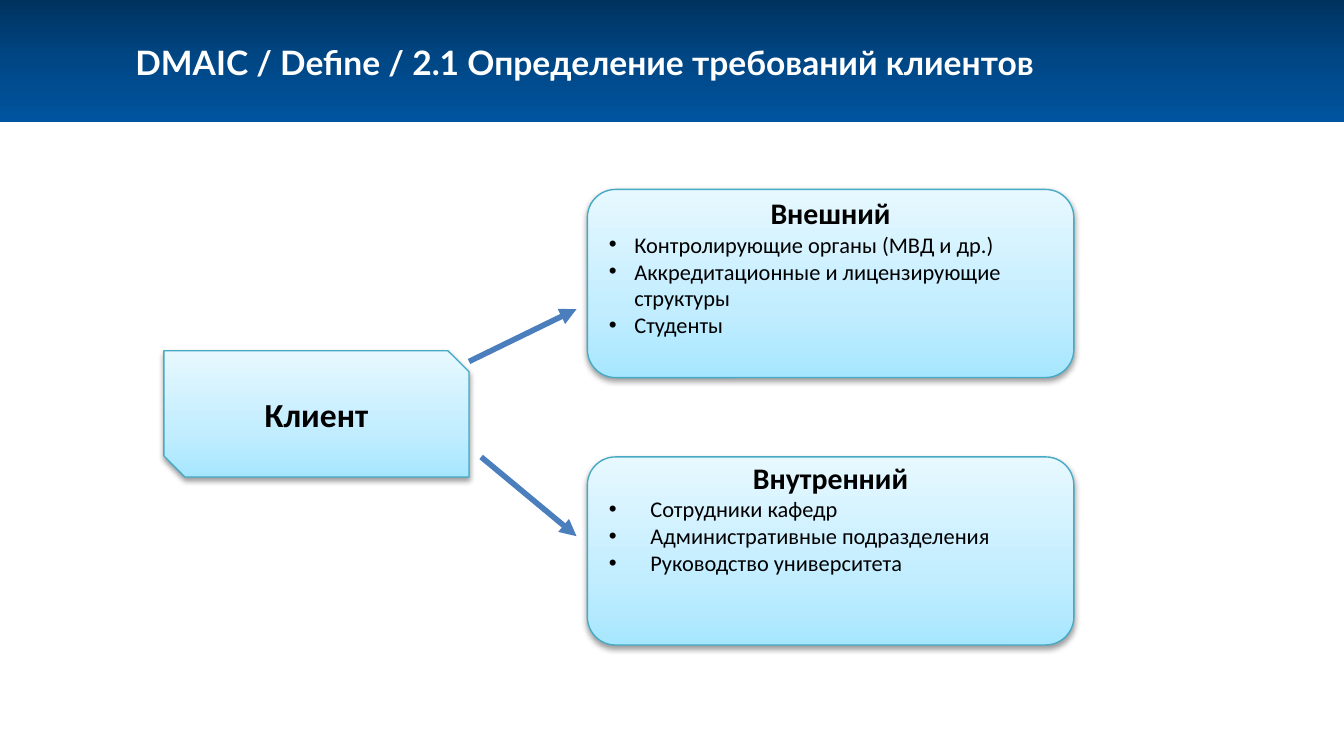
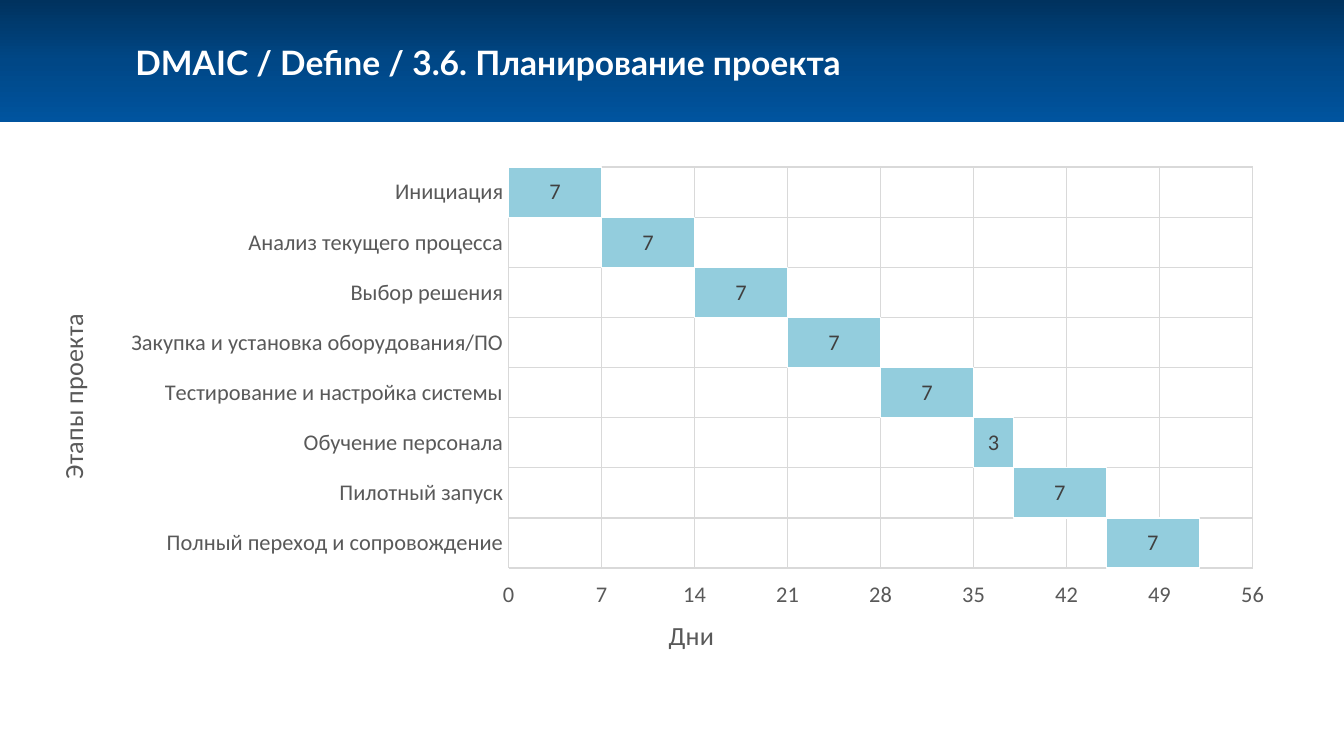
from dataclasses import dataclass

from lxml import etree
from pptx import Presentation
from pptx.chart import data as chart_data
from pptx.dml.color import RGBColor
from pptx.enum import chart as charts, shapes, text
from pptx.oxml import parse_xml
from pptx.oxml.ns import nsdecls, qn
from pptx.util import Inches, Pt

SLIDE_WIDTH = 10
COLORS = {
    "white": "FFFFFF", "black": "000000",
    "band_top": "00325E", "band_middle": "004786", "band_bottom": "00549F",
    "card_bottom": "A7E6FF", "card_middle": "C1EDFF", "card_top": "E7F8FF",
    "card_line": "46AAC5", "arrow": "4B7EBC",
    "bar": "93CDDD", "grid": "D9D9D9", "axis_text": "595959", "label": "404040",
}
BAND_STOPS = [(0, "band_top"), (50, "band_middle"), (100, "band_bottom")]
CARD_STOPS = [(0, "card_bottom"), (35, "card_middle"), (100, "card_top")]
BODY_FONT = "Calibri"
TITLE_FONT = "Lato"


@dataclass
class ClientGroup:
    top: float
    heading: str
    members: list[str]
    indent: float
    top_inset: float


@dataclass
class Arrow:
    start: tuple[float, float]
    end: tuple[float, float]


@dataclass
class Stage:
    name: str
    days: int


CLIENT_GROUPS = [
    ClientGroup(1.41, "Внешний", [
        "Контролирующие органы (МВД и др.)",
        "Аккредитационные и лицензирующие структуры",
        "Студенты",
    ], 0.19, -0.02),
    ClientGroup(3.4, "Внутренний", [
        "Сотрудники кафедр",
        "Административные подразделения",
        "Руководство университета",
    ], 0.31, -0.04),
]
ARROWS = [Arrow((3.49, 2.69), (4.29, 2.3)), Arrow((3.58, 3.4), (4.29, 3.99))]
STAGES = [
    Stage("Инициация", 7),
    Stage("Анализ текущего процесса", 7),
    Stage("Выбор решения", 7),
    Stage("Закупка и установка оборудования/ПО", 7),
    Stage("Тестирование и настройка системы", 7),
    Stage("Обучение персонала", 3),
    Stage("Пилотный запуск", 7),
    Stage("Полный переход и сопровождение", 7),
]


def rgb(name: str) -> RGBColor:
    return RGBColor.from_string(COLORS[name])


def style_font(font, size: float, color: str, name: str = BODY_FONT, bold: bool = False) -> None:
    font.size = Pt(size)
    font.name = name
    font.bold = bold
    font.color.rgb = rgb(color)


def style_line(line, color: str, width: float = 0.75) -> None:
    line.color.rgb = rgb(color)
    line.width = Pt(width)


def add_text(frame, content: str, *, size: float, color: str = "black", font: str = BODY_FONT,
             bold: bool = False, align=text.PP_ALIGN.LEFT, bullet_indent: float = 0) -> None:
    """Write into the empty first paragraph, or append a new one."""
    paragraph = frame.paragraphs[0]
    if paragraph.runs:
        paragraph = frame.add_paragraph()
    paragraph.alignment = align
    if bullet_indent:
        properties = paragraph._p.get_or_add_pPr()
        properties.set("marL", str(Inches(bullet_indent)))
        properties.set("indent", str(-Inches(bullet_indent)))
        etree.SubElement(properties, qn("a:buFont")).set("typeface", "Arial")
        etree.SubElement(properties, qn("a:buChar")).set("char", "•")
    run = paragraph.add_run()
    run.text = content
    style_font(run.font, size, color, font, bold)


def add_gradient_shape(slide, kind, left: float, top: float, width: float, height: float,
                       stops: list[tuple[int, str]], angle: float):
    shape = slide.shapes.add_shape(kind, Inches(left), Inches(top), Inches(width), Inches(height))
    shape.shadow.inherit = False
    shape.fill.gradient()
    shape.fill.gradient_angle = angle
    stop_list = shape._element.spPr.find(".//" + qn("a:gsLst"))
    for old_stop in list(stop_list):
        stop_list.remove(old_stop)
    for position, color in stops:
        stop = etree.SubElement(stop_list, qn("a:gs"), pos=str(position * 1000))
        etree.SubElement(stop, qn("a:srgbClr"), val=COLORS[color])
    shape.line.fill.background()
    return shape


def add_card(slide, kind, left: float, top: float, width: float, height: float):
    card = add_gradient_shape(slide, kind, left, top, width, height, CARD_STOPS, 90)
    style_line(card.line, "card_line")
    effects = card._element.spPr.find(qn("a:effectLst"))
    shadow = etree.SubElement(effects, qn("a:outerShdw"), blurRad=str(Pt(3.1)),
                              dist=str(Pt(1.6)), dir="5400000", rotWithShape="0")
    color = etree.SubElement(shadow, qn("a:srgbClr"), val=COLORS["black"])
    etree.SubElement(color, qn("a:alpha"), val="38000")
    card.text_frame.word_wrap = True
    return card


def add_arrow(slide, arrow: Arrow) -> None:
    points = [Inches(value) for value in (*arrow.start, *arrow.end)]
    connector = slide.shapes.add_connector(shapes.MSO_CONNECTOR.STRAIGHT, *points)
    style_line(connector.line, "arrow", 3)
    etree.SubElement(connector.line._get_or_add_ln(), qn("a:tailEnd"), type="triangle")
    etree.SubElement(connector._element.spPr, qn("a:effectLst"))


def add_titled_slide(presentation, title: str):
    slide = presentation.slides.add_slide(presentation.slide_layouts[6])
    add_gradient_shape(slide, shapes.MSO_SHAPE.RECTANGLE, 0, 0, SLIDE_WIDTH, 0.91,
                       BAND_STOPS, 270)
    box = slide.shapes.add_textbox(Inches(0.91), Inches(0.26), Inches(8.03), Inches(0.4))
    box.text_frame.word_wrap = True
    add_text(box.text_frame, title, size=18, color="white", font=TITLE_FONT, bold=True)
    return slide


def build_clients_slide(presentation) -> None:
    slide = add_titled_slide(presentation, "DMAIC / Define / 2.1 Определение требований клиентов")
    client = add_card(slide, shapes.MSO_SHAPE.SNIP_2_DIAG_RECTANGLE, 1.22, 2.61, 2.27, 0.94)
    client.text_frame.vertical_anchor = text.MSO_ANCHOR.MIDDLE
    add_text(client.text_frame, "Клиент", size=18, bold=True, align=text.PP_ALIGN.CENTER)
    for group in CLIENT_GROUPS:
        card = add_card(slide, shapes.MSO_SHAPE.ROUNDED_RECTANGLE, 4.37, group.top, 3.62, 1.4)
        card.adjustments[0] = 0.15
        frame = card.text_frame
        frame.vertical_anchor = text.MSO_ANCHOR.TOP
        frame.margin_top = Inches(group.top_inset)
        add_text(frame, group.heading, size=16, bold=True, align=text.PP_ALIGN.CENTER)
        for member in group.members:
            add_text(frame, member, size=12, bullet_indent=group.indent)
    for arrow in ARROWS:
        add_arrow(slide, arrow)


def set_layout(parent, index: int, **fractions: float) -> None:
    """Place a chart part by fractions of the chart area."""
    for old_layout in parent.findall(qn("c:layout")):
        parent.remove(old_layout)
    target = '<c:layoutTarget val="inner"/>' if "w" in fractions else ""
    modes = '<c:xMode val="edge"/><c:yMode val="edge"/>'
    values = "".join(f'<c:{key} val="{value}"/>' for key, value in fractions.items())
    parent.insert(index, parse_xml(
        f'<c:layout {nsdecls("c")}><c:manualLayout>{target}{modes}{values}'
        "</c:manualLayout></c:layout>"))


def style_axis(axis, title: str, x: float, y: float, rotation: int = 0) -> None:
    axis.major_tick_mark = axis.minor_tick_mark = charts.XL_TICK_MARK.NONE
    style_font(axis.tick_labels.font, 12, "axis_text")
    axis.has_major_gridlines = True
    style_line(axis.major_gridlines.format.line, "grid")
    frame = axis.axis_title.text_frame
    add_text(frame, title, size=14, color="axis_text")
    frame._txBody.bodyPr.set("rot", str(rotation * 60000))
    frame._txBody.bodyPr.set("vert", "horz")
    set_layout(axis.axis_title._element, 1, x=x, y=y)


def build_plan_slide(presentation) -> None:
    slide = add_titled_slide(presentation, "DMAIC / Define / 3.6. Планирование проекта")
    durations = [stage.days for stage in STAGES]
    starts = [sum(durations[:index]) for index in range(len(durations))]
    plan = chart_data.CategoryChartData()
    plan.categories = [stage.name for stage in STAGES]
    plan.add_series("Series 1", starts)
    plan.add_series("Series 2", durations)
    chart = slide.shapes.add_chart(
        charts.XL_CHART_TYPE.BAR_STACKED, Inches(0.28), Inches(1.17),
        Inches(9.32), Inches(3.89), plan).chart
    style_font(chart.font, 10, "black")
    chart.has_legend = False
    chart.has_title = False

    stage_axis, day_axis = chart.category_axis, chart.value_axis
    style_axis(stage_axis, "Этапы проекта", 0.01, 0.29, rotation=-90)
    style_line(stage_axis.format.line, "grid")
    stage_axis.reverse_order = True
    style_axis(day_axis, "Дни", 0.5, 0.87)
    day_axis.tick_label_position = charts.XL_TICK_LABEL_POSITION.HIGH
    day_axis.format.line.fill.background()
    day_axis.minimum_scale, day_axis.maximum_scale, day_axis.major_unit = 0, 56, 7

    plot = chart.plots[0]
    plot.vary_by_categories = False
    plot.gap_width, plot.overlap = 0, 100
    offset_bars, stage_bars = plot.series
    offset_bars.format.fill.background()
    offset_bars.format.line.fill.background()
    stage_bars.format.fill.solid()
    stage_bars.format.fill.fore_color.rgb = rgb("bar")
    style_line(stage_bars.format.line, "white")
    stage_bars.data_labels.show_value = True
    style_font(stage_bars.data_labels.font, 12, "label")
    set_layout(chart._chartSpace.chart.plotArea, 0, x=0.376, y=0.019, w=0.594, h=0.767)


def main() -> None:
    presentation = Presentation()
    presentation.slide_width = Inches(SLIDE_WIDTH)
    presentation.slide_height = Inches(SLIDE_WIDTH * 9 / 16)
    build_clients_slide(presentation)
    build_plan_slide(presentation)
    presentation.save("out.pptx")


if __name__ == "__main__":
    main()
